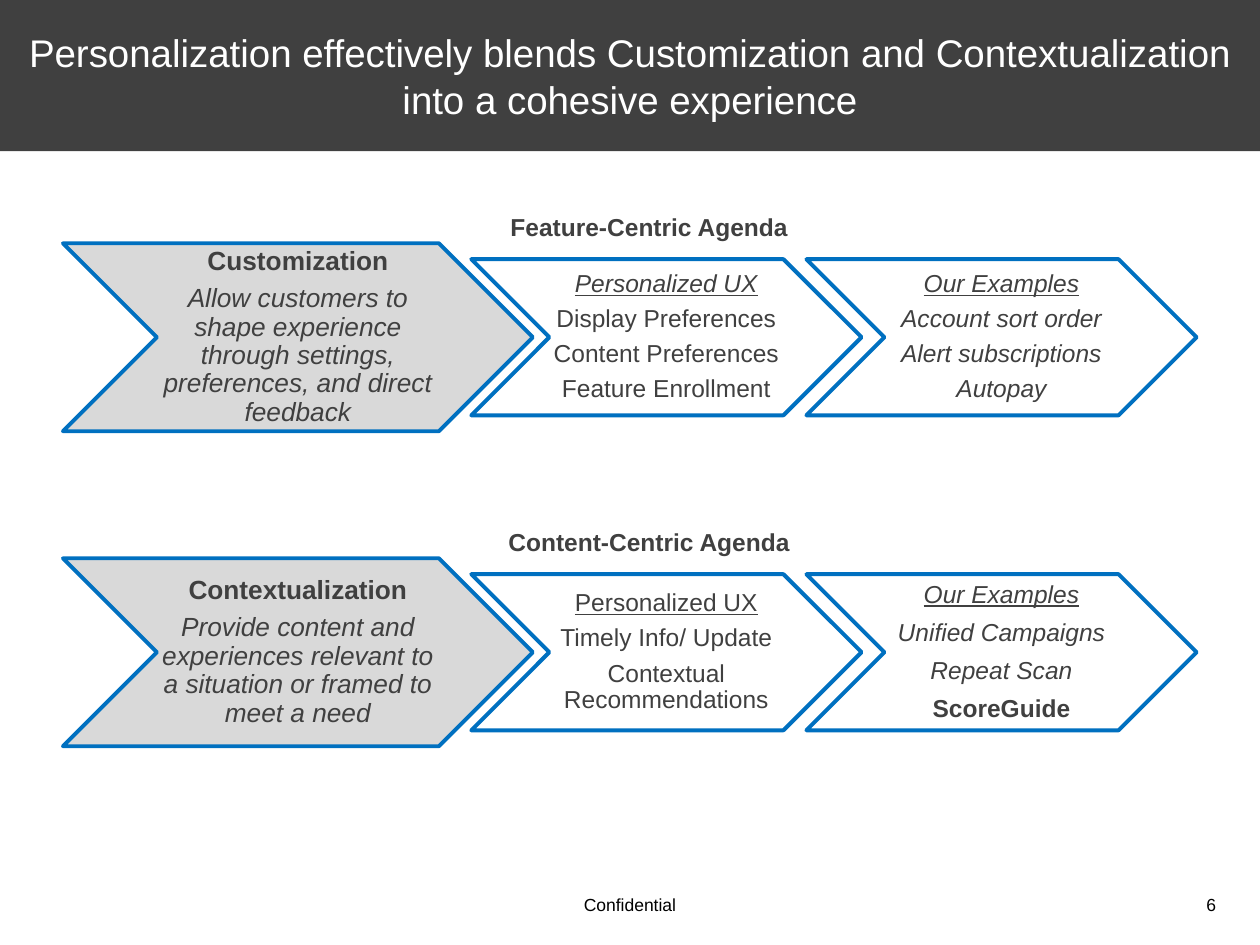
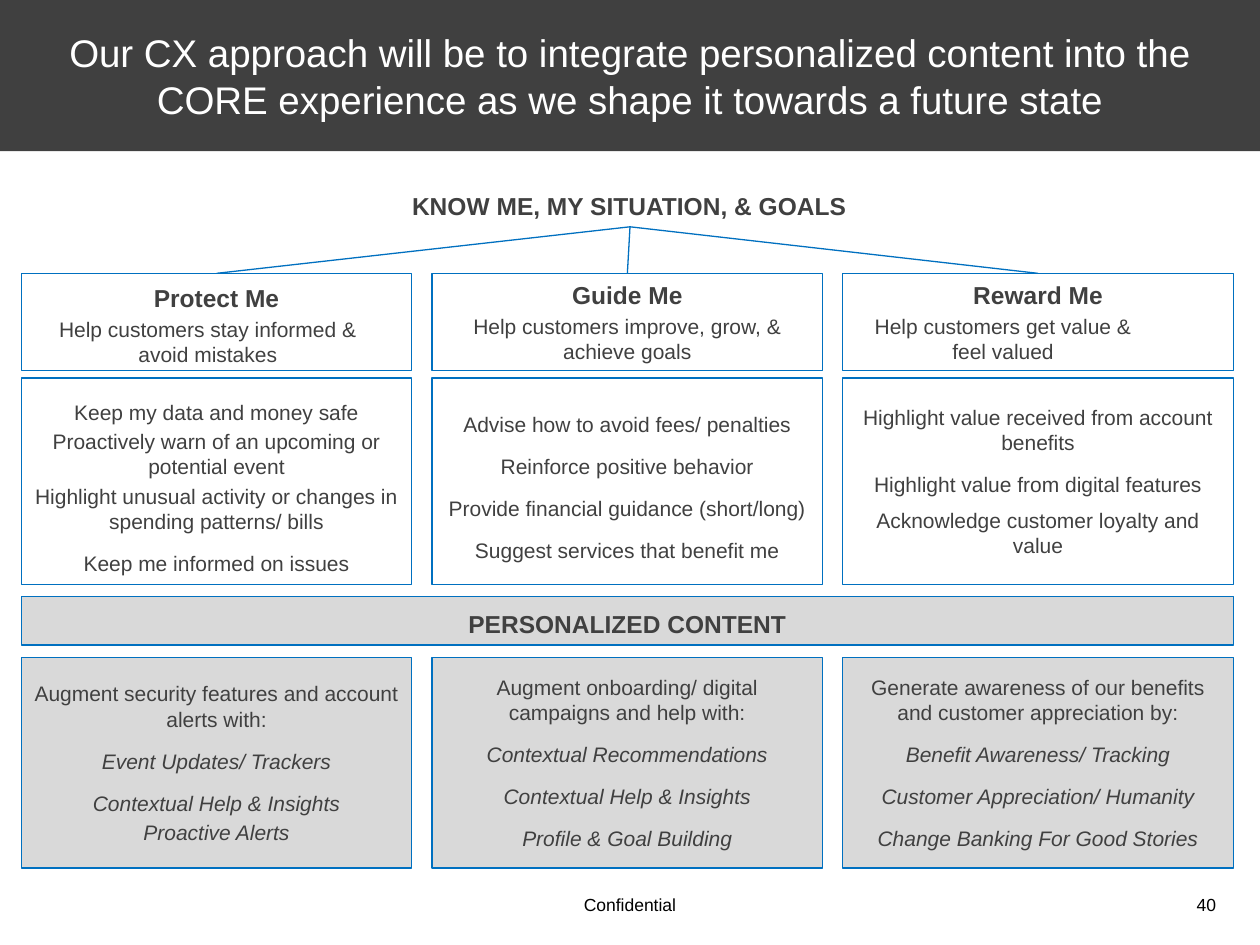
from dataclasses import dataclass

from lxml import etree
from pptx import Presentation
from pptx.dml.color import RGBColor
from pptx.enum.shapes import MSO_CONNECTOR as Connector, MSO_SHAPE as Shape
from pptx.enum.text import MSO_ANCHOR as Anchor, MSO_AUTO_SIZE as AutoSize, PP_ALIGN as Align
from pptx.oxml.ns import qn
from pptx.util import Pt


@dataclass(frozen=True)
class Theme:
    font: str = "Arial"
    dark: str = "404040"
    white: str = "FFFFFF"
    black: str = "000000"
    grey: str = "D9D9D9"
    blue: str = "0070C0"
    title: int = 22
    lead: int = 15
    head: int = 14
    body: int = 12
    footer: int = 10


THEME = Theme()
FOOTER = "Confidential"

# Paragraph styles, by role
TIGHT = dict(size=THEME.head, spacing=0.9, after=4.9)
LEAD = dict(size=THEME.lead, spacing=0.9, after=5.25)
LOOSE = dict(size=THEME.head, after=4.9)
BODY = dict(size=THEME.body, before=2.4)
STYLES = {
    "lead": LEAD | dict(bold=True),
    "lead note": LEAD | dict(italic=True),
    "item": TIGHT,
    "item italic": TIGHT | dict(italic=True),
    "head": TIGHT | dict(underline=True),
    "head italic": TIGHT | dict(underline=True, italic=True),
    "loose": LOOSE | dict(italic=True),
    "loose bold": LOOSE | dict(bold=True),
    "label": dict(size=THEME.head, bold=True, spacing=1.2),
    "card head": dict(size=THEME.head, bold=True),
    "body": BODY,
    "body joined": dict(size=THEME.body),
    "body indented": BODY | dict(right=10),
    "body far indented": BODY | dict(right=40),
    "body apart": BODY | dict(before=6.1),
    "body italic": BODY | dict(italic=True),
    "open": BODY | dict(spacing=1.5),
    "open italic": BODY | dict(spacing=1.5, italic=True),
}

# Content of slide 6
BLEND_TITLE = ("Personalization effectively blends Customization and "
               "Contextualization into a cohesive experience")
AGENDAS = [
    ("Feature-Centric Agenda", [
        [("Customization", "lead"),
         ("Allow customers to shape experience through settings, preferences, "
          "and direct feedback", "lead note")],
        [("Personalized UX", "head italic"), ("Display Preferences", "item"),
         ("Content Preferences", "item"), ("Feature Enrollment", "item")],
        [("Our Examples", "head italic"), ("Account sort order", "item italic"),
         ("Alert subscriptions", "item italic"), ("Autopay", "item italic")],
    ]),
    ("Content-Centric Agenda", [
        [("Contextualization", "lead"),
         ("Provide content and experiences relevant to a situation or framed "
          "to meet a need", "lead note")],
        [("Personalized UX", "head"), ("Timely Info/ Update", "item"),
         ("Contextual Recommendations", "item")],
        [("Our Examples", "head italic"), ("Unified Campaigns", "loose"),
         ("Repeat Scan", "loose"), ("ScoreGuide", "loose bold")],
    ]),
]

# Content of slide 40
APPROACH_TITLE = ("Our CX approach will be to integrate personalized content into the "
                  "CORE experience as we shape it towards a future state")
GOALS_LABEL = "KNOW ME, MY SITUATION, & GOALS"
BAR_LABEL = "PERSONALIZED CONTENT"
PILLARS = [
    dict(
        promise=[("Protect Me", "label"),
                 ("Help customers stay informed &", "body indented"),
                 ("avoid mistakes", "body joined")],
        needs=[("Keep my data and money safe", "open"),
               ("Proactively warn of an upcoming or potential event", "body"),
               ("Highlight unusual activity or changes in spending patterns/ bills", "body"),
               ("Keep me informed on issues", "open")],
        content=[("Augment security features and account alerts with:", "body"),
                 ("Event Updates/ Trackers", "open italic"),
                 ("Contextual Help & Insights", "open italic"),
                 ("Proactive Alerts", "body italic")],
    ),
    dict(
        promise=[("Guide Me", "card head"),
                 ("Help customers improve, grow, & achieve goals", "body")],
        needs=[("Advise how to avoid fees/ penalties", "open"),
               ("Reinforce positive behavior", "open"),
               ("Provide financial guidance (short/long)", "open"),
               ("Suggest services that benefit me", "open")],
        content=[("Augment onboarding/ digital campaigns and help with:", "body"),
                 ("Contextual Recommendations", "open italic"),
                 ("Contextual Help & Insights", "open italic"),
                 ("Profile & Goal Building", "open italic")],
    ),
    dict(
        promise=[("Reward Me", "card head"),
                 ("Help customers get value &", "body far indented"),
                 ("feel valued", "body joined")],
        needs=[("Highlight value received from account benefits", "body"),
               ("Highlight value from digital features", "open"),
               ("Acknowledge customer loyalty and value", "body apart")],
        content=[("Generate awareness of our benefits and customer appreciation by:", "body"),
                 ("Benefit Awareness/ Tracking", "open italic"),
                 ("Customer Appreciation/ Humanity", "open italic"),
                 ("Change Banking For Good Stories", "open italic")],
    ),
]


# Text and shape helpers
def color(code):
    return RGBColor.from_string(code)


def add_para(frame, text, first=False, size=THEME.body, ink=THEME.dark, bold=False,
             italic=False, underline=False, align=Align.CENTER, spacing=1.0,
             before=0, after=0, right=0):
    para = frame.paragraphs[0] if first else frame.add_paragraph()
    para.alignment = align
    para.line_spacing = spacing
    para.space_before = Pt(0 if first else before)
    para.space_after = Pt(after)
    if right:
        para._p.get_or_add_pPr().set("marR", str(Pt(right)))
    span = para.add_run()
    span.text = text
    font = span.font
    font.name, font.size = THEME.font, Pt(size)
    font.bold, font.italic, font.underline = bold, italic, underline
    font.color.rgb = color(ink)


def set_frame(frame, anchor, side=7.2, top=3.6):
    frame.word_wrap = True
    frame.auto_size = AutoSize.NONE
    frame.vertical_anchor = anchor
    frame.margin_left = frame.margin_right = Pt(side)
    frame.margin_top = frame.margin_bottom = Pt(top)


def add_panel(page, kind, place, lines, fill=None, width=0.75, **margins):
    panel = page.shapes.add_shape(kind, *map(Pt, place))
    panel.shadow.inherit = False
    if fill:
        panel.fill.solid()
        panel.fill.fore_color.rgb = color(fill)
    else:
        panel.fill.background()
    panel.line.color.rgb = color(THEME.blue)
    panel.line.width = Pt(width)
    set_frame(panel.text_frame, Anchor.MIDDLE, **margins)
    for index, (text, style) in enumerate(lines):
        add_para(panel.text_frame, text, first=index == 0, **STYLES[style])


def add_text(page, place, text, **style):
    box = page.shapes.add_textbox(*map(Pt, place))
    set_frame(box.text_frame, Anchor.TOP)
    add_para(box.text_frame, text, first=True, **style)


def add_line(page, start, end):
    line = page.shapes.add_connector(Connector.STRAIGHT, *map(Pt, start + end))
    line.line.color.rgb = color(THEME.blue)
    line.line.width = Pt(0.75)
    etree.SubElement(line._element.spPr, qn("a:effectLst"))


# Title band and footer, shared by both slides
def add_page(deck, title, number):
    page = deck.slides.add_slide(deck.slide_layouts[5])
    band = page.shapes.title
    band.left, band.top, band.width, band.height = Pt(0), Pt(0), Pt(720), Pt(86.4)
    band.fill.solid()
    band.fill.fore_color.rgb = color(THEME.dark)
    set_frame(band.text_frame, Anchor.MIDDLE, side=10.8, top=7.2)
    add_para(band.text_frame, title, first=True, size=THEME.title, ink=THEME.white)
    small = dict(size=THEME.footer, ink=THEME.black)
    add_text(page, (144, 507.6, 432, 19.4), FOOTER, **small)
    add_text(page, (660, 507.6, 42, 19.4), str(number), align=Align.RIGHT, **small)
    return page


# Two rows of chevrons: one large, then two small ones centred on it
def build_blend(deck):
    page = add_page(deck, BLEND_TITLE, 6)
    large, small, aspect = 107.4, 89.2, 2.5
    for row, (label, steps) in enumerate(AGENDAS):
        top = 139 + 180 * row
        add_text(page, (231, top - 24.5, 280, 27.4), label, **STYLES["label"])
        for column, lines in enumerate(steps):
            height = small if column else large
            left = 269.3 + 191.5 * (column - 1) if column else 36
            place = (left, top + (large - height) / 2, height * aspect, height)
            add_panel(page, Shape.CHEVRON, place, lines, width=2.25, side=0.7, top=0.7,
                      fill=THEME.white if column else THEME.grey)


# Three columns of cards under one goal, split by a bar
def build_approach(deck):
    page = add_page(deck, APPROACH_TITLE, 40)
    left, card, pitch = 12.2, 223.2, 234.7
    apex = (360, 129.6)
    rows = {  # top, height, fill
        "promise": (156.2, 55.4, None),
        "needs": (216, 118, None),
        "content": (375.8, 120.2, THEME.grey),
    }
    add_text(page, (219.6, 102.2, 280, 27.4), GOALS_LABEL, **STYLES["label"])
    for column, pillar in enumerate(PILLARS):
        x = left + pitch * column
        add_line(page, apex, (x + card / 2, rows["promise"][0]))
        for name, (top, height, fill) in rows.items():
            add_panel(page, Shape.RECTANGLE, (x, top, card, height), pillar[name], fill)
    add_panel(page, Shape.RECTANGLE, (left, 340.8, 2 * pitch + card, 27.8),
              [(BAR_LABEL, "label")], THEME.grey)


def main():
    deck = Presentation()
    deck.slide_width, deck.slide_height = Pt(720), Pt(540)
    build_blend(deck)
    build_approach(deck)
    deck.save("out.pptx")


if __name__ == "__main__":
    main()
